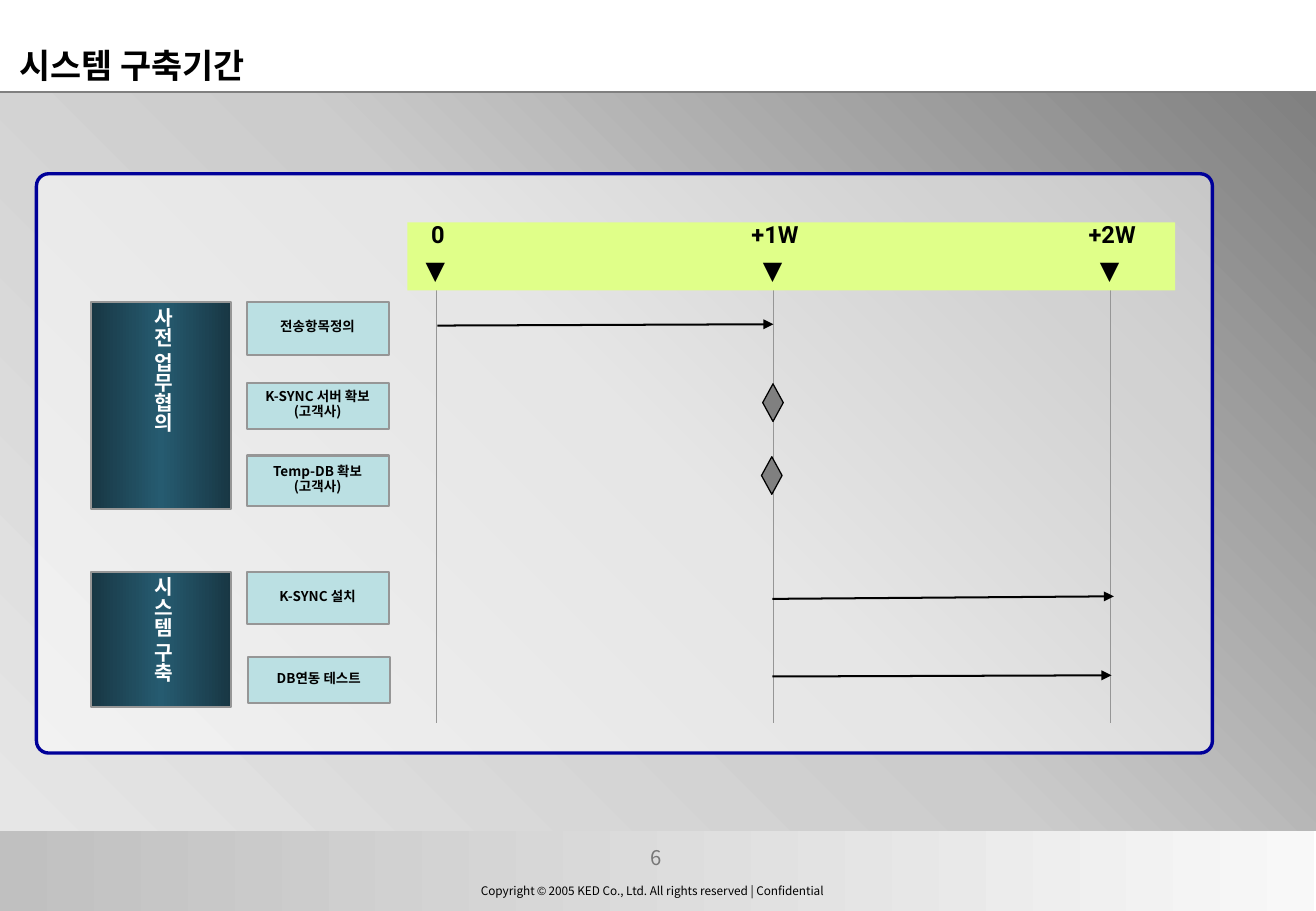
"""Builds the system construction schedule slide."""
from lxml import etree
from pptx import Presentation
from pptx.dml.color import RGBColor
from pptx.enum.shapes import MSO_CONNECTOR, MSO_SHAPE
from pptx.enum.text import MSO_ANCHOR, PP_ALIGN
from pptx.oxml.ns import qn
from pptx.util import Pt

RECT, ROUNDED, DIAMOND = MSO_SHAPE.RECTANGLE, MSO_SHAPE.ROUNDED_RECTANGLE, MSO_SHAPE.DIAMOND
STRAIGHT, MIDDLE = MSO_CONNECTOR.STRAIGHT, MSO_ANCHOR.MIDDLE
LEFT, CENTER = PP_ALIGN.LEFT, PP_ALIGN.CENTER

BLACK = RGBColor(0x00, 0x00, 0x00)
WHITE = RGBColor(0xFF, 0xFF, 0xFF)
GRAY = RGBColor(0x80, 0x80, 0x80)
NUMBER_GRAY = RGBColor(0x77, 0x77, 0x77)
BORDER = RGBColor(0x96, 0x96, 0x96)
SILVER = RGBColor(0xC0, 0xC0, 0xC0)
PALE = RGBColor(0xF8, 0xF8, 0xF8)
MIST = RGBColor(0xCC, 0xCC, 0xCC)
LIGHT = RGBColor(0xE6, 0xE6, 0xE6)
NAVY = RGBColor(0x00, 0x00, 0x99)
AQUA = RGBColor(0xBB, 0xE0, 0xE3)
LIME = RGBColor(0xE0, 0xFF, 0x89)
DEEP = RGBColor(0x18, 0x37, 0x44)
TEAL = RGBColor(0x26, 0x5B, 0x70)

KOREAN, LATIN, SYMBOL = "Noto Sans CJK KR", "Roboto", "Arial"
WEEK_LEFT, WEEK_GAP = 258.6, 199.8


class SlideBuilder:
    """Holds the style and the current slide."""

    def __init__(self, page):
        self.page = page

    def shape(self, kind, left, top, width, height, fill=None, line=None, weight=1.25):
        """Adds a preset shape."""
        box = self.page.shapes.add_shape(kind, Pt(left), Pt(top), Pt(width), Pt(height))
        box.shadow.inherit = False
        if fill is not None:
            box.fill.solid()
            box.fill.fore_color.rgb = fill
        if line is None:
            box.line.fill.background()
        else:
            box.line.color.rgb = line
            box.line.width = Pt(weight)
        return box

    def gradient(self, box, colors, angle):
        """Fills a shape with evenly spaced colours."""
        box.fill.gradient()
        fill = box._element.spPr.find(qn("a:gradFill"))
        for child in list(fill):
            fill.remove(child)
        stops = etree.SubElement(fill, qn("a:gsLst"))
        for index, color in enumerate(colors):
            position = 100000 * index // (len(colors) - 1)
            stop = etree.SubElement(stops, qn("a:gs"), pos=str(position))
            etree.SubElement(stop, qn("a:srgbClr"), val=str(color))
        etree.SubElement(fill, qn("a:lin"), ang=str(angle * 60000), scaled="0")

    def transparency(self, box, opacity):
        """Sets the opacity of a solid fill in percent."""
        color = box._element.spPr.find(qn("a:solidFill"))[0]
        etree.SubElement(color, qn("a:alpha"), val=str(opacity * 1000))

    def lettering(self, box, lines, size, color=BLACK, bold=False, align=CENTER,
                  spacing=None, before=0, wrap=False):
        """Adds lines of text, each a list of (words, font) spans."""
        frame = box.text_frame
        frame.word_wrap = wrap
        frame.vertical_anchor = MIDDLE
        for index, spans in enumerate(lines):
            para = frame.add_paragraph() if index else frame.paragraphs[0]
            para.alignment = align
            if spacing:
                para.line_spacing = spacing
            if index:
                para.space_before = Pt(before)
            for words, font in spans:
                span = para.add_run()
                span.text = words
                span.font.name = font
                span.font.size = Pt(size)
                span.font.bold = bold
                span.font.color.rgb = color
                etree.SubElement(span.font._element, qn("a:ea"), typeface=font)

    def insets(self, box, side, end):
        """Sets the inner margins of a shape."""
        frame = box.text_frame
        frame.margin_left = frame.margin_right = Pt(side)
        frame.margin_top = frame.margin_bottom = Pt(end)

    def text(self, left, top, width, height, spans, size, **style):
        """Adds a one-line text box."""
        box = self.page.shapes.add_textbox(Pt(left), Pt(top), Pt(width), Pt(height))
        self.lettering(box, [spans], size, **style)

    def line(self, start, end, color, weight, arrow=False):
        """Adds a straight line or an arrow."""
        ends = [Pt(value) for value in (*start, *end)]
        connector = self.page.shapes.add_connector(STRAIGHT, *ends)
        connector.line.color.rgb = color
        connector.line.width = Pt(weight)
        if arrow:
            outline = connector._element.spPr.find(qn("a:ln"))
            etree.SubElement(outline, qn("a:tailEnd"), type="triangle")
        etree.SubElement(connector._element.spPr, qn("a:effectLst"))

    def task(self, left, top, height, lines):
        """Adds a task label."""
        box = self.shape(RECT, left, top, 84.2, height, AQUA, BORDER)
        self.insets(box, 5.8, 0)
        self.lettering(box, [[(words, KOREAN)] for words in lines], 8, bold=True,
                       spacing=0.6, before=3)

    def phase(self, top, height, name):
        """Adds a phase block with vertical text."""
        box = self.shape(RECT, 54, top, 82.8, height, line=BORDER)
        self.gradient(box, [DEEP, TEAL, DEEP], 0)
        self.insets(box, 5.8, 2.9)
        self.lettering(box, [[(name, KOREAN)]], 12, color=WHITE, bold=True,
                       align=LEFT, spacing=0.8, wrap=True)
        box._element.txBody.find(qn("a:bodyPr")).set("vert", "eaVert")

    def milestone(self, center, top):
        """Adds a milestone diamond."""
        self.shape(DIAMOND, center - 6.1, top, 12.2, 22.3, GRAY, BLACK, 0.75)


def main():
    """Builds and saves the deck."""
    deck = Presentation()
    deck.slide_width, deck.slide_height = Pt(780), Pt(540)
    slide = SlideBuilder(deck.slides.add_slide(deck.slide_layouts[6]))

    slide.line((0, 54.7), (780, 54.7), GRAY, 1)
    footer = slide.shape(RECT, 0, 490.3, 779, 49.7)
    slide.gradient(footer, [SILVER, PALE], 0)
    slide.text(248.4, 518, 276.5, 20, [
        ("Copyright ", KOREAN), ("©", SYMBOL),
        (" 2005 KED Co., Ltd. All rights reserved | Confidential", KOREAN)], 7)
    backdrop = slide.shape(RECT, 0, 55.4, 780, 437)
    slide.gradient(backdrop, [GRAY, MIST, LIGHT], 135)
    slide.text(4.3, 23, 342, 31, [("시스템 구축기간", KOREAN)], 20, bold=True, align=LEFT)
    slide.text(365, 496.8, 48.2, 22.3, [("6", KOREAN)], 12, color=NUMBER_GRAY)

    panel = slide.shape(ROUNDED, 21.6, 103, 697, 343.4, WHITE, NAVY, 2)
    panel.adjustments[0] = 0.021
    slide.transparency(panel, 52)

    for left, top, height, lines in (
            (146.2, 179.3, 31, ["전송항목정의"]),
            (146.2, 226.8, 27.4, ["K-SYNC 서버 확보", "(고객사)"]),
            (146.2, 270, 30.2, ["Temp-DB 확보", "(고객사)"]),
            (146.2, 339.1, 31, ["K-SYNC 설치"]),
            (146.9, 389.5, 27.4, ["DB연동 테스트"])):
        slide.task(left, top, height, lines)
    slide.phase(179.3, 122.4, "사전 업무협의")
    slide.phase(339.1, 79.9, "시스템 구축")

    weeks = [WEEK_LEFT + WEEK_GAP * index for index in range(3)]
    for week in weeks:
        slide.line((week, 162), (week, 428.4), BORDER, 0.75)
    slide.shape(RECT, 241.5, 131.8, 455, 40.3, LIME)
    for week, label in zip(weeks, ("0", "+1W", "+2W")):
        slide.text(week - 23.5, 126.7, 49, 24, [(label, LATIN)], 14, bold=True)
        slide.text(week - 14.5, 146.9, 28, 25.2, [("▼", LATIN)], 15)

    first, second, third = weeks
    slide.line((first + 0.6, 193), (second, 192.2), BLACK, 1.2, arrow=True)
    slide.milestone(second - 0.2, 227.5)
    slide.milestone(second - 0.9, 270.7)
    slide.line((second - 0.6, 355), (third + 2, 353.5), BLACK, 1.2, arrow=True)
    slide.line((second - 0.6, 401), (third + 0.6, 400.3), BLACK, 1.2, arrow=True)

    deck.save("out.pptx")


if __name__ == "__main__":
    main()
